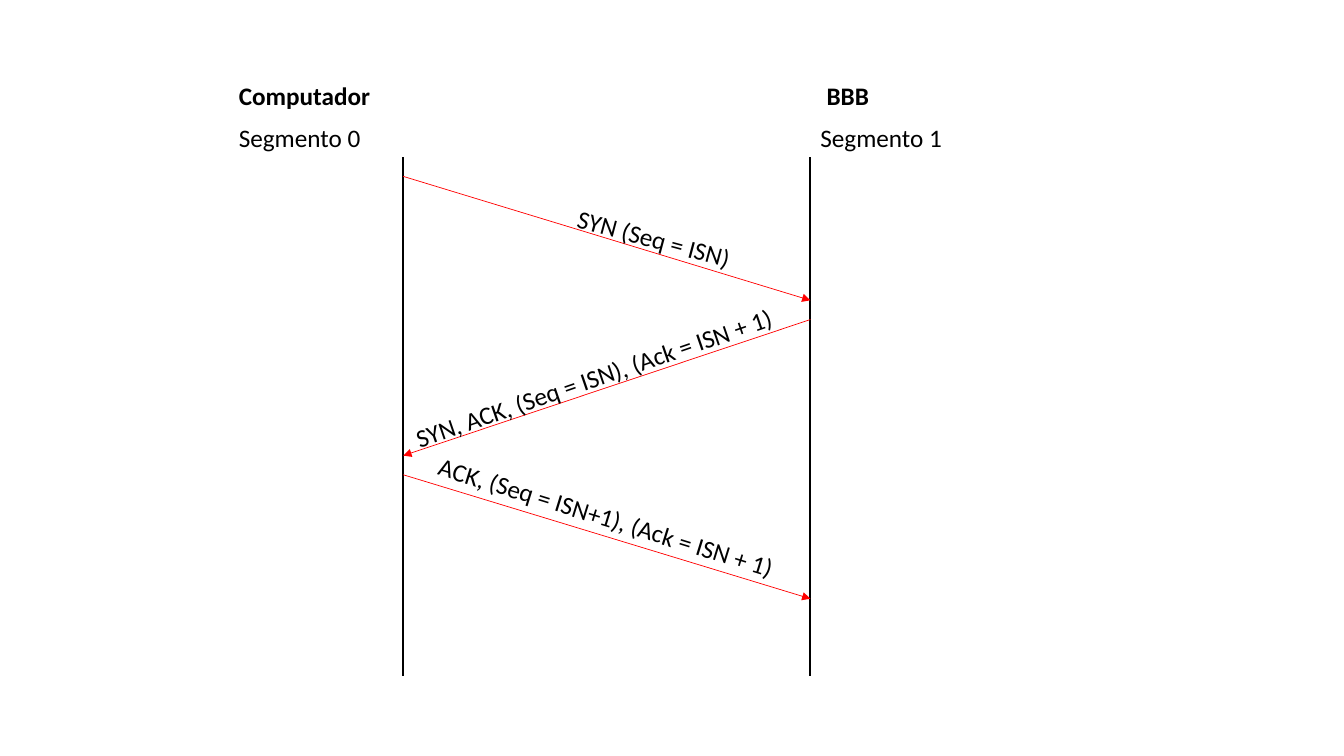
"""Draw the TCP three-way handshake between Computador and BBB."""
from dataclasses import dataclass

from lxml import etree
from pptx import Presentation
from pptx import util as u
from pptx.dml.color import RGBColor
from pptx.enum import shapes, text
from pptx.oxml import ns

WIDE, HIGH = u.Inches(13.33), u.Inches(7.5)
LEFT, RIGHT = 30, 60.3
TOP, END = 20.8, 89.47
ROW = 5.33
BLACK, RED = "000000", "FF0000"


@dataclass
class Line:
    """A line whose ends are percentages of the slide."""
    x1: float
    y1: float
    x2: float
    y2: float
    color: str = RED
    width: float = 0.5
    arrow: bool = True


@dataclass
class Label:
    """A label whose box is in percentages of the slide."""
    words: str
    x: float
    y: float
    width: float
    turn: float = 0
    bold: bool = False


LINES = [
    *(Line(x, TOP, x, END, BLACK, 1.5, False) for x in (LEFT, RIGHT)),
    Line(LEFT, 23.33, RIGHT, 39.73),
    Line(RIGHT, 42.27, LEFT, 60.27),
    Line(LEFT, 62.8, RIGHT, 79.2),
]
LABELS = [
    Label("Segmento 0", 17.03, 15.47, 12.98),
    Label("Segmento 1", RIGHT, 15.47, 12.98),
    Label("Computador", 17.03, 10, 14.55, bold=True),
    Label("BBB", 60.77, 10, 14.55, bold=True),
    Label("SYN (Seq = ISN)", 42.09, 29.07, 14.18, 15),
    Label("SYN, ACK, (Seq = ISN), (Ack = ISN + 1)", 29.48, 47.2, 29.56, -19.1),
    Label("ACK, (Seq = ISN+1), (Ack = ISN + 1)", 31.28, 67.33, 33.61, 17.2),
]


def across(share: float) -> int:
    """Turn a percentage of the slide width into a length."""
    return round(WIDE * share / 100)


def down(share: float) -> int:
    """Turn a percentage of the slide height into a length."""
    return round(HIGH * share / 100)


def paint(target, color: str) -> None:
    """Give a colour format its hex colour."""
    target.rgb = RGBColor.from_string(color)


def draw(slide, line: Line) -> None:
    """Draw a line, with an arrowhead at its end if wanted."""
    link = slide.shapes.add_connector(
        shapes.MSO_CONNECTOR.STRAIGHT,
        across(line.x1), down(line.y1), across(line.x2), down(line.y2))
    link.line.width = u.Pt(line.width)
    paint(link.line.color, line.color)
    if line.arrow:
        etree.SubElement(link.line._get_or_add_ln(), ns.qn("a:tailEnd"), type="triangle")
    etree.SubElement(link._element.spPr, ns.qn("a:effectLst"))


def write(slide, words: str, *, x: float, y: float, width: float,
          turn: float = 0, bold: bool = False, size: float = 18,
          face: str = "Calibri", color: str = BLACK) -> None:
    """Write a line of text in a turned box."""
    box = slide.shapes.add_textbox(across(x), down(y), across(width), down(ROW))
    box.rotation = turn
    frame = box.text_frame
    frame.word_wrap = True
    frame.auto_size = text.MSO_AUTO_SIZE.SHAPE_TO_FIT_TEXT
    run = frame.paragraphs[0].add_run()
    run.text = words
    run.font.name, run.font.size, run.font.bold = face, u.Pt(size), bold
    paint(run.font.color, color)


def main() -> None:
    """Build and save the slide."""
    deck = Presentation()
    deck.slide_width, deck.slide_height = WIDE, HIGH
    slide = deck.slides.add_slide(deck.slide_layouts.get_by_name("Blank"))
    for line in LINES:
        draw(slide, line)
    for label in LABELS:
        write(slide, label.words, x=label.x, y=label.y, width=label.width,
              turn=label.turn, bold=label.bold)
    deck.save("out.pptx")


if __name__ == "__main__":
    main()
